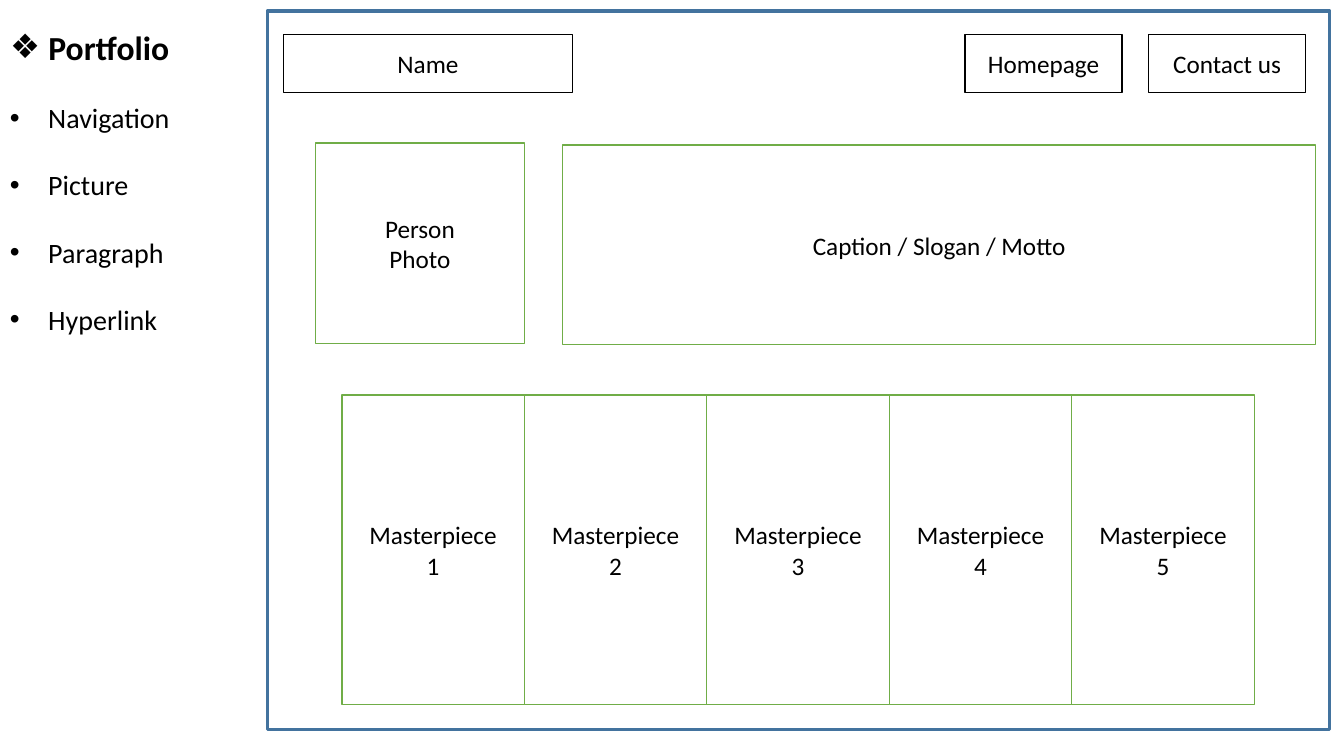
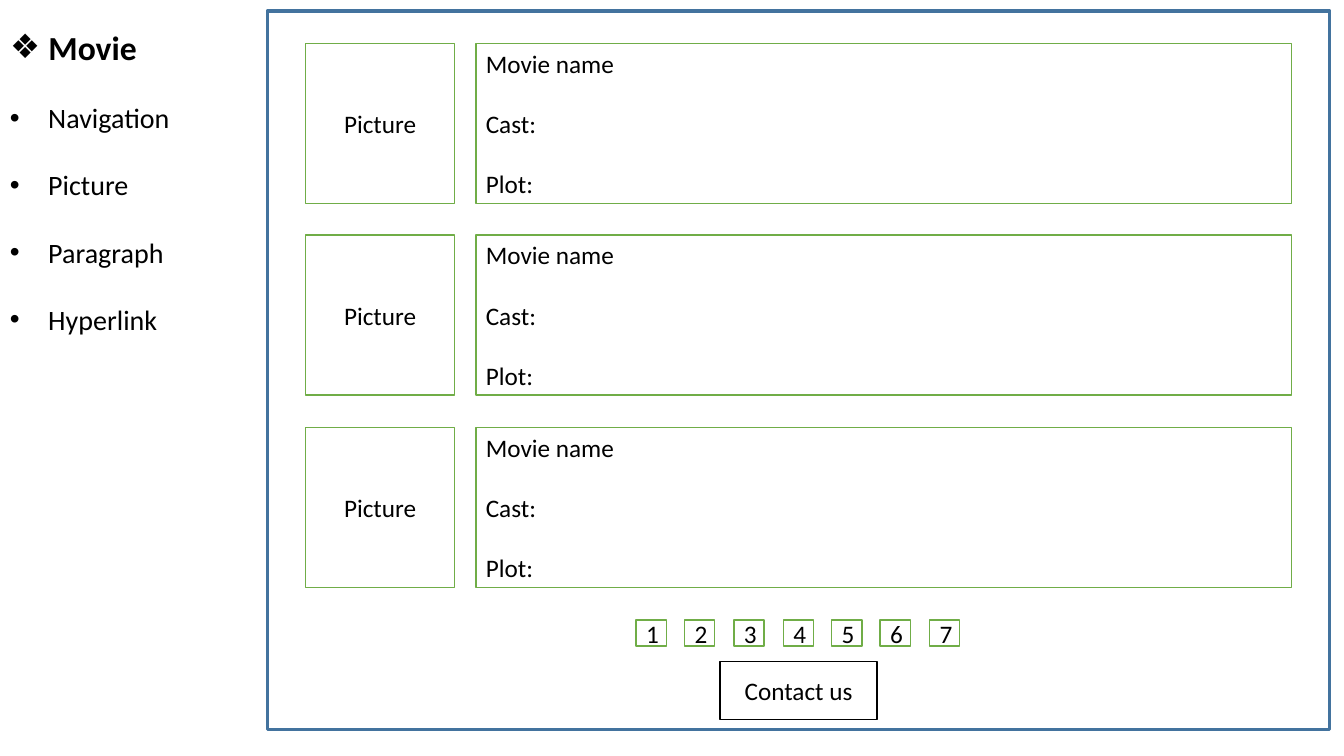
from lxml.etree import SubElement
from pptx import Presentation
from pptx.dml.color import RGBColor
from pptx.enum.shapes import MSO_SHAPE
from pptx.enum.text import MSO_ANCHOR, MSO_AUTO_SIZE, PP_ALIGN
from pptx.oxml.ns import qn
from pptx.util import Emu, Pt

PX = 9144
FONT = "Calibri"
COLORS = {"text": "000000", "paper": "FFFFFF", "frame": "43739E", "nav": "000000", "content": "70AD47"}
TOPICS = ["Navigation", "Picture", "Paragraph", "Hyperlink"]


def format_text(tf, size, align=PP_ALIGN.LEFT, gap=0, bold=False, bullet=None):
    tf.word_wrap = True
    tf.auto_size = MSO_AUTO_SIZE.NONE
    for i, p in enumerate(tf.paragraphs):
        p.alignment = align
        p.space_before = Pt(gap if i else 0)
        for r in p.runs:
            r.font.name = FONT
            r.font.size = Pt(size)
            r.font.bold = bold
            r.font.color.rgb = RGBColor.from_string(COLORS["text"])
        if bullet:
            pPr = p._p.get_or_add_pPr()
            pPr.set("marL", str(38 * PX))
            pPr.set("indent", str(-38 * PX))
            SubElement(pPr, qn("a:buFont")).set("typeface", "Arial")
            SubElement(pPr, qn("a:buChar")).set("char", bullet)


def add_box(s, x, y, w, h, text, color, align=PP_ALIGN.CENTER, gap=0):
    sp = s.shapes.add_shape(MSO_SHAPE.RECTANGLE, *[Emu(v * PX) for v in (x, y, w, h)])
    sp.shadow.inherit = False
    sp.fill.solid()
    sp.fill.fore_color.rgb = RGBColor.from_string(COLORS["paper"])
    sp.line.color.rgb = RGBColor.from_string(COLORS[color])
    sp.line.width = Pt(1)
    tf = sp.text_frame
    tf.text = text
    tf.vertical_anchor = MSO_ANCHOR.MIDDLE
    format_text(tf, 18, align, gap)
    return sp


prs = Presentation()
prs.slide_width = Emu(1333 * PX)
prs.slide_height = Emu(750 * PX)

slides = []
for heading in ["Portfolio", "Movie"]:
    s = prs.slides.add_slide(prs.slide_layouts[5])
    slides.append(s)

    title = s.shapes.title
    title.left, title.top, title.width, title.height = [Emu(v * PX) for v in (0, 22, 249, 50)]
    title.text_frame.text = heading
    title.text_frame.vertical_anchor = MSO_ANCHOR.TOP
    format_text(title.text_frame, 24, bold=True, bullet="❖")

    topics = s.shapes.add_textbox(*[Emu(v * PX) for v in (0, 95, 249, 314)])
    topics.text_frame.text = "\n".join(TOPICS)
    format_text(topics.text_frame, 20, gap=24, bullet="•")

    frame = add_box(s, 265, 11, 1054, 713, "", "frame")
    frame.fill.background()
    frame.line.width = Pt(2.25)

portfolio, movie = slides

for x, w, text in [(281, 287, "Name"), (957, 156, "Homepage"), (1139, 156, "Contact us")]:
    add_box(portfolio, x, 34, w, 58, text, "nav")

add_box(portfolio, 313, 142, 207, 199, "Person\nPhoto", "content")
add_box(portfolio, 558, 144, 747, 198, "Caption / Slogan / Motto", "content")

for i in range(5):
    add_box(portfolio, 339 + 181 * i, 392, 181, 307, f"Masterpiece\n{i + 1}", "content")

for i in range(3):
    y = 43 + round(190.5 * i)
    add_box(movie, 303, y, 148, 159, "Picture", "content")
    add_box(movie, 472, y, 809, 159, "Movie name\nCast:\nPlot:", "content", PP_ALIGN.LEFT, 21.5)

for i in range(7):
    add_box(movie, 631 + round(48.5 * i), 615, 30, 26, str(i + 1), "content")

add_box(movie, 714, 656, 156, 58, "Contact us", "nav")

prs.save("out.pptx")
